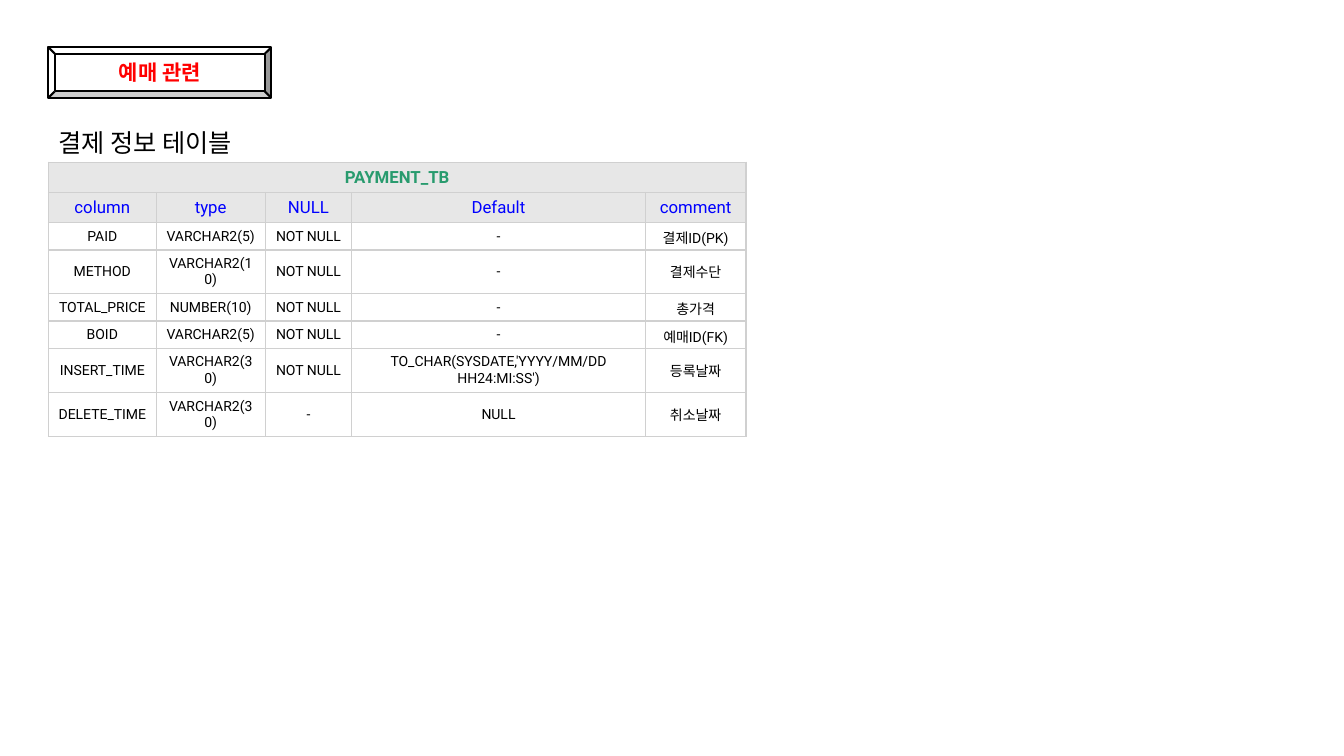
from pptx import Presentation
from pptx.util import Inches, Pt
from pptx.dml.color import RGBColor as RGB
from pptx.enum.shapes import MSO_SHAPE as SHAPE
from pptx.enum.text import PP_ALIGN as ALIGN, MSO_ANCHOR as ANCHOR, MSO_AUTO_SIZE as AUTO
from pptx.oxml import parse_xml

HUES = {"black": "000000", "white": "FFFFFF", "red": "FF0000", "blue": "0000FF",
        "green": "289B6E", "head": "E7E7E7", "rule": "D0D0D0"}
NS = "http://schemas.openxmlformats.org/drawingml/2006/main"


def write(frame, text, size, hue, font="Roboto", bold=False, align=ALIGN.CENTER):
    frame.text = text
    para = frame.paragraphs[0]
    para.alignment = align
    face = para.runs[0].font
    face.name, face.size, face.bold = font, Pt(size), bold
    face.color.rgb = RGB.from_string(HUES[hue])


def paint(cell, hue):
    cell.fill.solid()
    cell.fill.fore_color.rgb = RGB.from_string(HUES[hue])
    cell.vertical_anchor = ANCHOR.MIDDLE
    props = cell._tc.get_or_add_tcPr()
    for spot, side in enumerate(("lnL", "lnR", "lnT", "lnB")):
        props.insert(spot, parse_xml(
            f'<a:{side} xmlns:a="{NS}" w="{Pt(1)}"><a:solidFill>'
            f'<a:srgbClr val="{HUES["rule"]}"/></a:solidFill></a:{side}>'))


deck = Presentation()
deck.slide_width, deck.slide_height = Inches(13.33), Inches(7.5)
slide = deck.slides.add_slide(deck.slide_layouts[5])
left = Inches(0.48)

# Section badge
badge = slide.shapes.add_shape(SHAPE.BEVEL, left, Inches(0.47), Inches(2.21), Inches(0.5))
badge.shadow.inherit = False
badge.fill.solid()
badge.fill.fore_color.rgb = RGB.from_string(HUES["white"])
badge.line.color.rgb = RGB.from_string(HUES["black"])
badge.line.width = Pt(1.5)
badge.text_frame.vertical_anchor = ANCHOR.MIDDLE
write(badge.text_frame, "예매 관련", 15, "red", bold=True)

# Title
title = slide.shapes.title
title.left, title.top = left, Inches(1.21)
title.width, title.height = Inches(2.98), Inches(0.4)
frame = title.text_frame
frame.word_wrap = True
frame.auto_size = AUTO.SHAPE_TO_FIT_TEXT
frame.vertical_anchor = ANCHOR.TOP
write(frame, "결제 정보 테이블", 18, "black", "Calibri", align=ALIGN.LEFT)

# Payment table
rows = [
    ("PAYMENT_TB", "", "", "", ""),
    ("column", "type", "NULL", "Default", "comment"),
    ("PAID", "VARCHAR2(5)", "NOT NULL", "-", "결제ID(PK)"),
    ("METHOD", "VARCHAR2(10)", "NOT NULL", "-", "결제수단"),
    ("TOTAL_PRICE", "NUMBER(10)", "NOT NULL", "-", "총가격"),
    ("BOID", "VARCHAR2(5)", "NOT NULL", "-", "예매ID(FK)"),
    ("INSERT_TIME", "VARCHAR2(30)", "NOT NULL",
     "TO_CHAR(SYSDATE,'YYYY/MM/DD HH24:MI:SS')", "등록날짜"),
    ("DELETE_TIME", "VARCHAR2(30)", "-", "NULL", "취소날짜"),
]
widths = [1.07, 1.08, 0.86, 2.91, 1]
heights = [0.3, 0.3, 0.27, 0.43, 0.27, 0.27, 0.44, 0.44]
table = slide.shapes.add_table(len(rows), len(widths), left, Inches(1.61),
                               Inches(sum(widths)), Inches(sum(heights))).table
table.horz_banding = False
for col, width in zip(table.columns, widths):
    col.width = Inches(width)
for row, height in zip(table.rows, heights):
    row.height = Inches(height)
table.cell(0, 0).merge(table.cell(0, len(widths) - 1))

styles = [(12, "green", True), (12, "blue", False)]
for r, row in enumerate(rows):
    size, hue, bold = styles[r] if r < len(styles) else (10, "black", False)
    for c, text in enumerate(row):
        cell = table.cell(r, c)
        paint(cell, "head" if r < len(styles) else "white")
        if text:
            write(cell.text_frame, text, size, hue, bold=bold)

deck.save("out.pptx")
